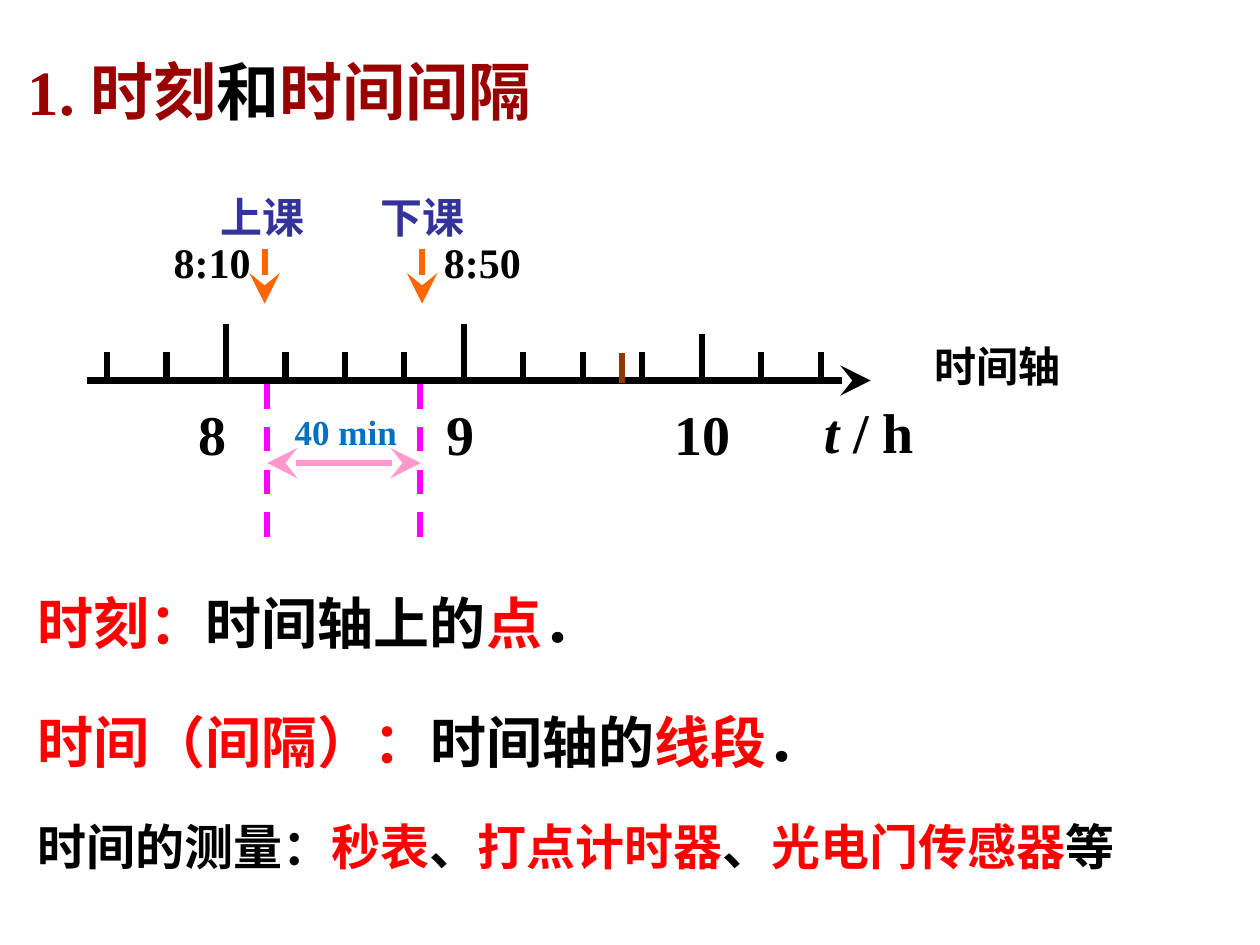
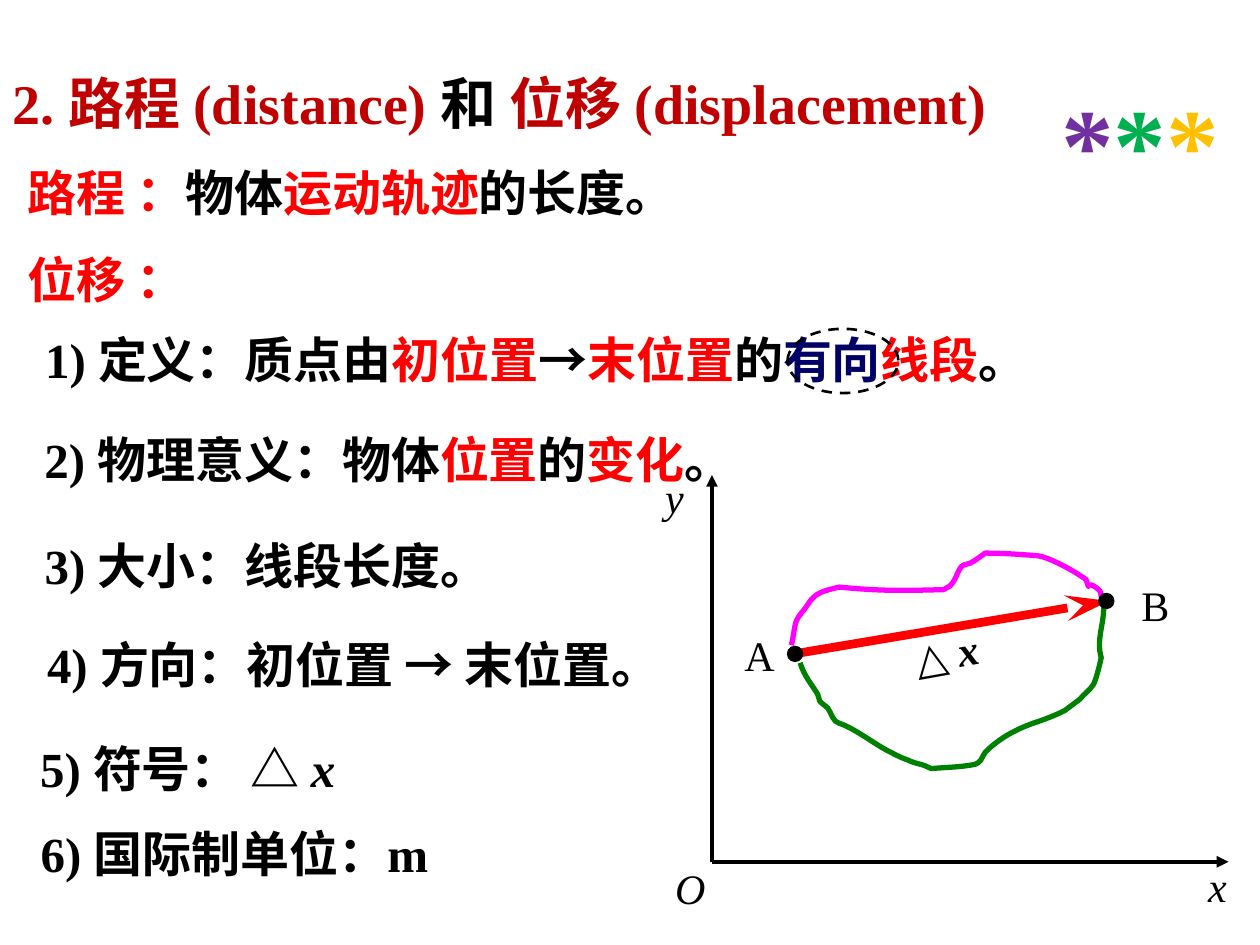
from dataclasses import dataclass
from typing import Any

from lxml.etree import Element, SubElement
from pptx import Presentation
from pptx.dml.color import RGBColor
from pptx.enum.dml import MSO_LINE
from pptx.enum.shapes import MSO_CONNECTOR, MSO_SHAPE
from pptx.enum.text import MSO_ANCHOR, PP_ALIGN
from pptx.oxml.ns import qn
from pptx.util import Inches, Pt

COLUMNS, ROWS = 100, 75
CELL = Inches(10) / COLUMNS
LATIN, CJK, SANS = "Times New Roman", "Noto Sans CJK SC", "Arial"
BLACK, RED = "000000", "FF0000"
MAROON, CRIMSON = "990000", "C00000"
INDIGO, NAVY, BLUE = "333399", "000066", "0070C0"
ORANGE, BROWN = "FF6600", "993300"
MAGENTA, PINK, GREEN = "FF00FF", "FF99CC", "008000"
LARGE = {"type": "stealth", "w": "lg", "len": "lg"}
LONG = {"type": "stealth", "w": "med", "len": "lg"}
PLAIN = {"type": "triangle"}

UPPER_ROUTE = [(6.3, 13.5),
               (6.5, 12.9, 6.5, 12.2, 6.7, 11.6), (6.9, 11.1, 7.3, 10.8, 7.6, 10.3),
               (8.2, 9.3, 8.9, 9.2, 10.1, 8.9), (13.3, 9.2, 14.7, 9.2, 18.4, 9.1),
               (18.6, 8.9, 18.9, 8.9, 19, 8.7), (19.4, 8.3, 19.5, 7.5, 19.9, 7.2),
               (20, 7.1, 20.3, 7.1, 20.5, 7), (20.9, 6.8, 21.7, 6.2, 21.7, 6.2),
               (23.1, 6.2, 24.4, 6.3, 25.7, 6.4), (26.6, 6.4, 28.9, 7.7, 29.7, 8.3),
               (30.2, 9.7, 29.4, 8, 30.7, 9.1), (30.9, 9.2, 30.9, 9.7, 30.9, 9.7)]
LOWER_ROUTE = [(7, 14.9),
               (7.3, 15.9, 7.9, 16.6, 8.4, 17.4), (8.5, 17.6, 8.5, 17.9, 8.6, 18),
               (8.8, 18.2, 9, 18.3, 9.2, 18.5), (9.5, 18.9, 9.6, 19.6, 10.1, 19.7),
               (11.3, 20.1, 12.7, 21.2, 13.8, 21.8), (14.4, 22.1, 14.9, 22.4, 15.5, 22.6),
               (15.9, 22.8, 16.3, 22.9, 16.7, 23), (17, 23.1, 17.4, 23.3, 17.4, 23.3),
               (18.5, 23.2, 19.6, 23.2, 20.7, 23), (21.4, 22.9, 21.4, 22.4, 21.7, 22),
               (22.8, 20.9, 24.1, 20.2, 25.5, 19.7), (26.4, 19.4, 27.2, 19.1, 28, 18.7),
               (28.4, 18.4, 29.2, 17.8, 29.2, 17.8), (29.5, 17.4, 30, 17.1, 30.3, 16.6),
               (30.5, 16.2, 30.8, 15, 30.9, 14.5), (30.5, 13.1, 31.1, 11.9, 31.1, 10.5)]


def paint(target, colour):
    """Give a fill, line or font the colour of a hex string."""
    if hasattr(target, "solid"):
        target.solid()
        target.fore_color.rgb = RGBColor.from_string(colour)
    else:
        target.color.rgb = RGBColor.from_string(colour)


@dataclass
class Run:
    """Words in one colour and typeface."""
    words: str
    colour: str = BLACK
    face: str = LATIN
    italic: bool = False


@dataclass
class Box:
    """A region of a slide, measured in grid columns and rows."""
    slide: Any
    left: float
    top: float
    width: float = COLUMNS
    height: float = ROWS

    def point(self, column, row):
        """Return the slide position of a place in the box."""
        return round((self.left + column) * CELL), round((self.top + row) * CELL)

    def frame(self, column, row, width, height):
        """Return position and size of a part of the box."""
        return *self.point(column, row), round(width * CELL), round(height * CELL)

    def text(self, place, runs, size, bold=True, before=0, spacing=None,
             align=PP_ALIGN.LEFT, anchor=MSO_ANCHOR.TOP):
        """Write one paragraph of runs."""
        label = self.slide.shapes.add_textbox(*self.frame(*place))
        body = label.text_frame
        body.word_wrap = True
        body.vertical_anchor = anchor
        paragraph = body.paragraphs[0]
        paragraph.alignment = align
        paragraph.space_before = Pt(before)
        if spacing:
            paragraph.line_spacing = spacing
        base, font = runs[0], paragraph.font
        font.size, font.bold = Pt(size), bold
        paint(font, base.colour)
        font.name = base.face
        SubElement(paragraph._p.find(".//" + qn("a:defRPr")), qn("a:ea"), typeface=CJK)
        for part in runs:
            run = paragraph.add_run()
            run.text = part.words
            if part.colour != base.colour:
                paint(run.font, part.colour)
            if part.face != base.face:
                run.font.name = part.face
            if part.italic:
                run.font.italic = True
        return label

    def line(self, start, end, colour, weight=3.5, dashed=False, head=None, tail=None):
        """Draw a straight line with optional arrowheads."""
        link = self.slide.shapes.add_connector(
            MSO_CONNECTOR.STRAIGHT, *self.point(*start), *self.point(*end))
        paint(link.line, colour)
        link.line.width = Pt(weight)
        if dashed:
            link.line.dash_style = MSO_LINE.DASH
        properties = link._element.spPr
        for tag, arrow in (("a:headEnd", head), ("a:tailEnd", tail)):
            if arrow:
                SubElement(properties.find(qn("a:ln")), qn(tag), arrow)
        SubElement(properties, qn("a:effectLst"))

    def ellipse(self, place, weight, fill=None):
        """Draw a black ellipse, dashed where it has no fill."""
        oval = self.slide.shapes.add_shape(MSO_SHAPE.OVAL, *self.frame(*place))
        oval.shadow.inherit = False
        paint(oval.line, BLACK)
        oval.line.width = Pt(weight)
        if fill:
            paint(oval.fill, fill)
        else:
            oval.fill.background()
            oval.line.dash_style = MSO_LINE.DASH

    def curve(self, knots, colour):
        """Draw an open outline of cubic Bezier segments."""
        start, *segments = knots
        builder = self.slide.shapes.build_freeform(*self.point(*start))
        builder.add_line_segments([self.point(*knot[4:]) for knot in segments], close=False)
        route = builder.convert_to_shape()
        for bend, knot in zip(list(route._element.iter(qn("a:lnTo"))), segments):
            bend.tag = qn("a:cubicBezTo")
            for index, handle in enumerate((knot[:2], knot[2:4])):
                x, y = self.point(*handle)
                bend.insert(index, Element(qn("a:pt"), x=str(x - route.left),
                                           y=str(y - route.top)))
        route.shadow.inherit = False
        route.fill.background()
        paint(route.line, colour)
        route.line.width = Pt(3)


def add_title(box, runs, size):
    """Fill the title band of a slide."""
    box.text((0, 0, box.width, box.height), runs, size, anchor=MSO_ANCHOR.MIDDLE)


def add_time_axis(box):
    """Draw the time axis with its ticks, moments and interval."""
    axis, first_tick, tick_gap = 15.5, 1.6, 4.72
    hour_heights = {2: 4.5, 6: 4.5, 10: 3.7}
    box.line((0, axis), (62.2, axis), BLACK, tail=LARGE)
    for tick in range(13):
        column = first_tick + tick * tick_gap
        box.line((column, axis - hour_heights.get(tick, 2.3)), (column, axis + 0.1), BLACK)
    box.line((42.5, axis - 2.2), (42.5, axis + 0.2), BROWN)
    for hour, column, width in (("8", 7.9, 6.3), ("9", 27.55, 6.3), ("10", 45.65, 8.7)):
        box.text((column, 16.5, width, 6.4), [Run(hour)], 32, before=20)
    box.text((57.5, 16.35, 12.6, 6.4), [Run("t ", italic=True), Run("/ h")], 32, before=20)
    box.text((66.3, 11.8, 17.1, 5), [Run("时间轴", face=CJK)], 24)

    moments = (("上课", 9.6, 14.4, "8:10", 5.9, 14.1, 14.3),
               ("下课", 22.3, 18.1, "8:50", 27.35, 26.6, 26.4))
    for event, event_column, width, clock, clock_column, arrow, limit in moments:
        box.text((event_column, 0, width, 5), [Run(event, INDIGO, CJK)], 24, before=15)
        box.text((clock_column, 3.6, 8.9, 5), [Run(clock)], 24, before=15)
        box.line((arrow, 5.1), (arrow, 9.4), ORANGE, tail=LARGE)
        box.line((limit, axis + 0.3), (limit, 28.4), MAGENTA, dashed=True)
    box.line((26.5, 22.05), (14.3, 22.05), PINK, head=LARGE, tail=LARGE)
    box.text((15.5, 17.35, 15.7, 4.4), [Run("40 min", BLUE)], 20, before=12.5)


def add_time_definitions(box):
    """Write what moment and interval mean and how time is measured."""
    stop = Run("．", face=CJK)
    box.text((0, 0, 58.3, 6.8),
             [Run("时刻：", RED), Run("时间轴上的", face=CJK), Run("点", RED), stop],
             32, before=8)
    box.text((0, 9.45, 85.1, 7.1),
             [Run("时间（间隔）：", RED), Run("时间轴的", face=CJK), Run("线段", RED), stop],
             32, before=8, align=PP_ALIGN.JUSTIFY)
    tools = (("时间的测量：", BLACK), ("秒表", RED), ("、", BLACK), ("打点计时器", RED),
             ("、", BLACK), ("光电门传感器", RED), ("等", BLACK))
    box.text((0, 18.1, 89.8, 7.1), [Run(*tool, CJK) for tool in tools], 28)


def add_displacement_notes(box):
    """Write the definitions of distance and displacement."""
    spaced = {"before": 7, "spacing": 0.9}
    justified = {**spaced, "align": PP_ALIGN.JUSTIFY}
    stop = Run("。")
    notes = (
        ((0, 0, 98, 5.5), justified,
         [Run("路程 ：", RED), Run("物体"), Run("运动轨迹", RED), Run("的长度。")]),
        ((0, 6.95, 98, 6.3), justified, [Run("位移 ：", RED)]),
        ((1.4, 13.25, 84.6, 6.3), spaced,
         [Run("1) 定义：质点由"), Run("初位置", RED), Run("→"), Run("末位置", RED),
          Run("的"), Run("有向", NAVY), Run("线段", RED), stop]),
        ((1.35, 20.7, 57.6, 5.7), {},
         [Run("2) 物理意义：物体"), Run("位置", RED, CJK), Run("的"),
          Run("变化", RED, CJK), stop]),
        ((1.35, 29.1, 38.2, 5.7), {},
         [Run("3) 大小："), Run("线段长度", face=CJK), stop]),
        ((1.55, 37, 52.6, 5.7), {},
         [Run("4) 方向："), Run("初位置 ", face=CJK), Run("→ ", face=SANS),
          Run("末位置", face=CJK), stop]),
        ((1, 45.2, 27.4, 5.7), {}, [Run("5) 符号： △ "), Run("x", italic=True)]),
        ((1.05, 52, 34.6, 5.7), {}, [Run("6) 国际制单位：m")]))
    for place, style, runs in notes:
        box.text(place, runs, 28, **style)
    box.ellipse((61.3, 13.2, 8.8, 5.1), 1.5)


def add_route_plot(box):
    """Draw two routes from A to B and the displacement between them."""
    origin = 0, box.height
    box.curve(UPPER_ROUTE, MAGENTA)
    box.curve(LOWER_ROUTE, GREEN)
    box.line((7.1, 14.1), (31.5, 10), RED, weight=5, tail=LONG)
    for column, row in ((30.7, 9.4), (6, 13.6)):
        box.ellipse((column, row, 1.2, 1.2), 0.75, fill=BLACK)
    for end in ((box.width, box.height), (0, 0)):
        box.line(origin, end, BLACK, weight=2.25, tail=PLAIN)
    for name, column, row, width, italic in (
            ("y", -4.7, -0.8, 5.5, True), ("O", -3.9, 30.25, 7.9, True),
            ("x", 38.4, 30.1, 4.7, True), ("A", 1.6, 11.8, 4.7, False),
            ("B", 33.1, 7.8, 4.7, False)):
        box.text((column, row, width, 5), [Run(name, italic=italic)], 24,
                 bold=False, before=15)
    change = box.text((6.5, 12.1, 24.6, 6.3), [Run("△ "), Run("x", italic=True)], 24,
                      before=6, spacing=0.9, align=PP_ALIGN.CENTER)
    change.rotation = 349.9


def add_stars(box):
    """Mark the importance of the topic with three asterisks."""
    stars = [Run("*", colour) for colour in ("7030A0", "00B050", "FFC000")]
    box.text((0, 0, box.width, box.height), stars, 60, spacing=1.3)


def main():
    """Build both slides and save them."""
    deck = Presentation()
    deck.slide_width, deck.slide_height = round(COLUMNS * CELL), round(ROWS * CELL)
    blank = deck.slide_layouts[6]

    time = deck.slides.add_slide(blank)
    add_title(Box(time, 1.2, 2.1, 49.8, 10.1),
              [Run("1. 时刻", MAROON), Run("和"), Run("时间间隔", MAROON)], 36)
    add_time_axis(Box(time, 6.9, 14.7, 83.4, 28.4))
    add_time_definitions(Box(time, 2, 46.2, 89.8, 25.2))

    motion = deck.slides.add_slide(blank)
    add_title(Box(motion, 0, 3.95, 99.2, 8.3),
              [Run("2. 路程 (distance) ", CRIMSON), Run("和 "),
               Run("位移 (displacement)", CRIMSON)], 32)
    add_displacement_notes(Box(motion, 1.2, 12.9, 98, 57.7))
    add_route_plot(Box(motion, 56.5, 37.7, 41, 30.7))
    add_stars(Box(motion, 83.25, 2.65, 17.9, 14))
    deck.save("out.pptx")


if __name__ == "__main__":
    main()
